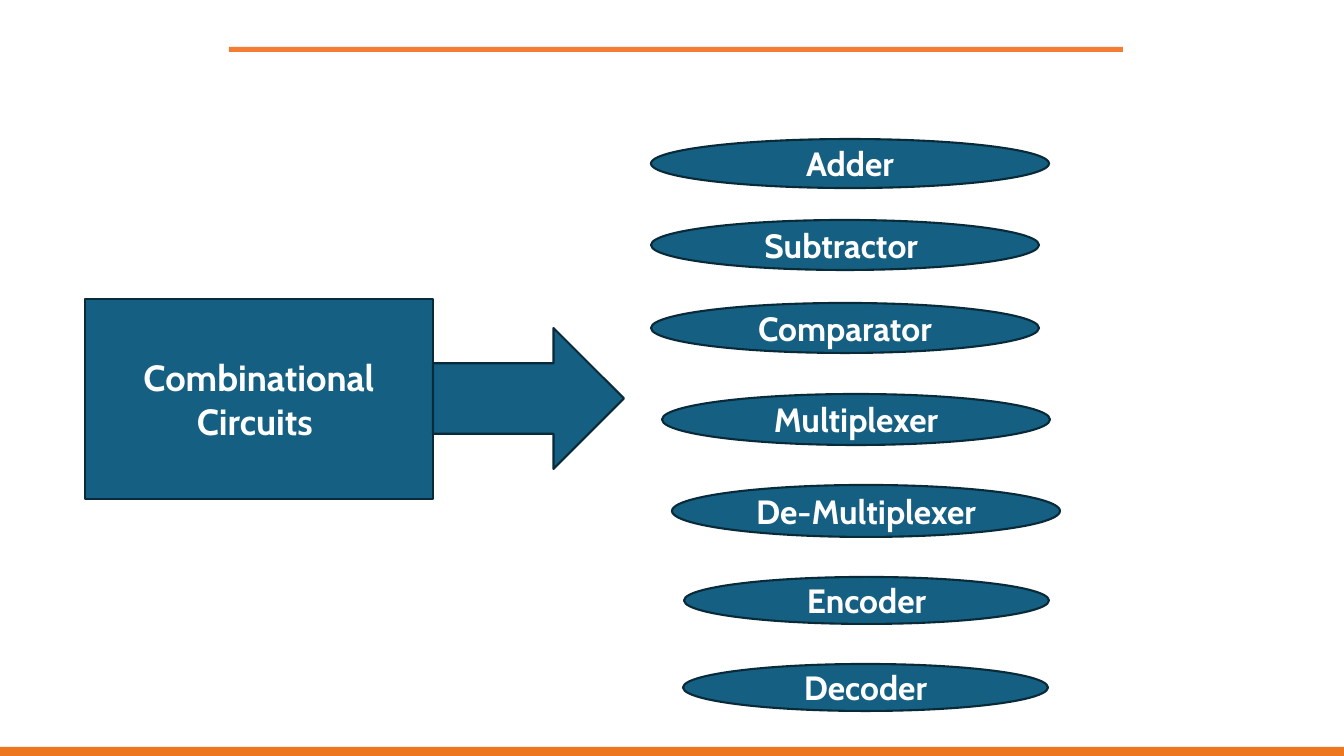
from pptx import Presentation
from pptx import util as u
from pptx.dml.color import RGBColor
from pptx.enum import shapes, text

PX = 914400 / 100.8
SLIDE = (1344, 756)
FONT = "Cabin"
FILL, OUTLINE, WHITE = "156082", "092A39", "FFFFFF"

# left, top, width, height in px, then colour
BARS = [
    (229, 47, 894, 5, "F47D35"),
    (0, 747, 1344, 9, "ED771F"),
]
TOPIC = ("Combinational Circuits ", 85, 299, 348, 200)
ARROW = (433, 328, 191, 141)
CIRCUITS = [
    ("Adder", 651, 139, 398, 49),
    ("Subtractor ", 651, 220, 388, 50),
    ("Comparator", 651, 303, 388, 50),
    ("Multiplexer", 662, 394, 388, 51),
    ("De-Multiplexer", 672, 485, 388, 52),
    ("Encoder", 684, 577, 365, 47),
    ("Decoder", 683, 664, 365, 47),
]


def px(n):
    return u.Emu(round(n * PX))


def rgb(colour):
    return RGBColor.from_string(colour)


def add_shape(slide, kind, box, fill=FILL, outline=OUTLINE):
    sp = slide.shapes.add_shape(kind, *map(px, box))
    sp.shadow.inherit = False
    sp.fill.solid()
    sp.fill.fore_color.rgb = rgb(fill)
    if outline:
        sp.line.color.rgb = rgb(outline)
        sp.line.width = u.Pt(1.5)
    else:
        sp.line.fill.background()
    return sp


def add_label(sp, label, size):
    tf = sp.text_frame
    tf.word_wrap = True
    tf.vertical_anchor = text.MSO_ANCHOR.MIDDLE
    p = tf.paragraphs[0]
    p.alignment = text.PP_ALIGN.CENTER
    r = p.add_run()
    r.text = label
    r.font.name = FONT
    r.font.size = u.Pt(size)
    r.font.bold = True
    r.font.color.rgb = rgb(WHITE)


def main():
    prs = Presentation()
    prs.slide_width, prs.slide_height = map(px, SLIDE)
    slide = prs.slides.add_slide(prs.slide_layouts[6])
    kinds = shapes.MSO_SHAPE

    for *box, colour in BARS:
        add_shape(slide, kinds.RECTANGLE, box, colour, None)

    label, *box = TOPIC
    add_label(add_shape(slide, kinds.RECTANGLE, box), label, 26)
    add_shape(slide, kinds.RIGHT_ARROW, ARROW)

    for label, *box in CIRCUITS:
        add_label(add_shape(slide, kinds.OVAL, box), label, 24)

    prs.save("out.pptx")


if __name__ == "__main__":
    main()
